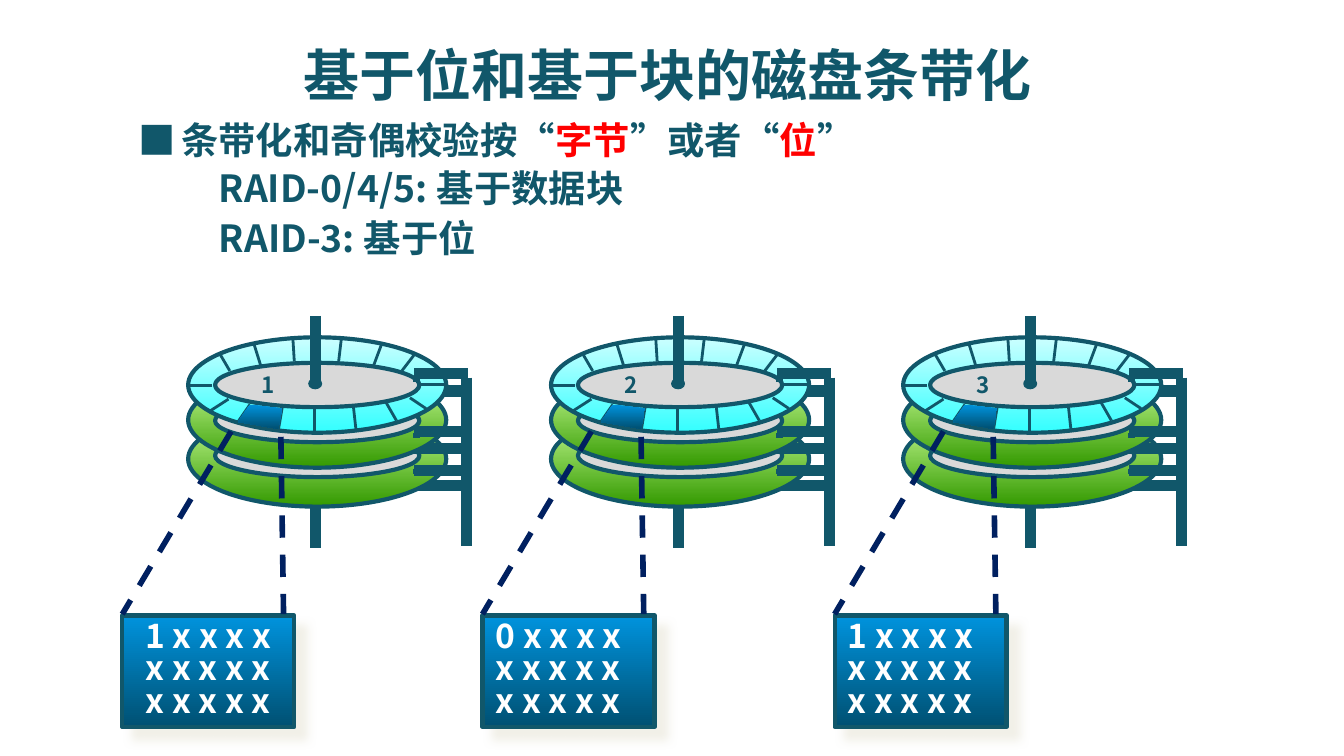
import pptx
import pptx.dml.color
import pptx.enum.dml
import pptx.enum.shapes
import pptx.enum.text
import pptx.oxml
import pptx.oxml.ns
import pptx.util
from lxml import etree

RGB = pptx.dml.color.RGBColor
SHAPE = pptx.enum.shapes.MSO_SHAPE
ALIGN = pptx.enum.text.PP_ALIGN
Pt = pptx.util.Pt
qn = pptx.oxml.ns.qn

PX = 9144  # 100 px to the inch
TEAL = RGB(0x11, 0x57, 0x6A)
RED = RGB(0xFF, 0x00, 0x00)
WHITE = RGB(0xFF, 0xFF, 0xFF)
GREY = RGB(0xD9, 0xD9, 0xD9)
NAVY = RGB(0x00, 0x20, 0x60)
GREENS = RGB(0xCC, 0xFF, 0x99), RGB(0x33, 0x99, 0x00)
CYANS = RGB(0xCC, 0xFF, 0xFF), RGB(0x33, 0xFF, 0xFF)
BLUES = RGB(0x00, 0x93, 0xDD), RGB(0x00, 0x50, 0x72)
SANS = "Noto Sans CJK SC"

# Top of arm, platter and hub, hub height, platter colours; lowest platter first
PLATTERS = [(361, 306, 323, 32, GREENS), (334, 277, 297, 32, GREENS),
            (291, 251, 270, 33, CYANS)]
# Sector borders; x counts from the left edge of the drive
SECTORS = [
    (193, 286, 172, 286), (94, 304, 94, 321), (144, 256, 138, 272),
    (147, 299, 155, 313), (123, 303, 125, 321), (112, 269, 114, 252),
    (159, 276, 169, 263), (165, 296, 177, 304), (70, 303, 67, 321),
    (18, 287, 0, 287), (46, 301, 37, 314), (49, 256, 54, 272),
    (31, 276, 24, 264), (79, 269, 78, 253), (30, 297, 16, 306),
]
# Left edge of drive, left edge of its block, first row of the block
DRIVES = [(140, 91, "1 x x x x"), (410, 359, "0 x x x x"), (672, 621, "1 x x x x")]


def add_line(shapes, x1, y1, x2, y2, width, color=TEAL):
    line = shapes.add_connector(pptx.enum.shapes.MSO_CONNECTOR.STRAIGHT,
                                x1 * PX, y1 * PX, x2 * PX, y2 * PX)
    line.line.width = Pt(width)
    line.line.color.rgb = color
    etree.SubElement(line._element.spPr, qn("a:effectLst"))
    return line


def write(frame, lines, size, color, align=ALIGN.LEFT, name=SANS):
    """Fill a text frame, one paragraph a line, in Latin and East Asian type."""
    frame.text = "\n".join(lines)
    for para in frame.paragraphs:
        para.alignment = align
        para.font.size = Pt(size)
        para.font.bold = True
        para.font.color.rgb = color
        para.font.name = name
        for latin in para._p.iter(qn("a:latin")):
            east_asian = etree.Element(qn("a:ea"))
            east_asian.set("typeface", name)
            latin.addnext(east_asian)


deck = pptx.Presentation()
deck.slide_width = Pt(720)
deck.slide_height = Pt(405)
page = deck.slides.add_slide(deck.slide_layouts[6])
shaded = []

# Drives
for left, block_left, first_row in DRIVES:
    drive = page.shapes.add_group_shape().shapes
    middle = left + 95
    add_line(drive, middle, 345, middle, 408, 6)
    for arm, top, hub_top, hub_height, colors in PLATTERS:
        add_line(drive, left + 208, arm, left + 168, arm, 6)
        platter = drive.add_shape(SHAPE.OVAL, left * PX, top * PX, 192 * PX, 71 * PX)
        shaded.append((platter, colors))
        hub = drive.add_shape(SHAPE.OVAL, (left + 20) * PX, hub_top * PX,
                              152 * PX, hub_height * PX)
        hub.fill.solid()
        hub.fill.fore_color.rgb = GREY
        for oval in (platter, hub):
            oval.shadow.inherit = False
            oval.line.color.rgb = TEAL
            oval.line.width = Pt(2.25)
    for x1, y1, x2, y2 in SECTORS:
        add_line(drive, left + x1, y1, left + x2, y2, 1.5)
    cap = drive.add_shape(SHAPE.OVAL, (left + 90) * PX, 282 * PX, 9 * PX, 7 * PX)
    cap.shadow.inherit = False
    cap.fill.solid()
    cap.fill.fore_color.rgb = TEAL
    cap.line.color.rgb = TEAL
    cap.line.width = Pt(1)
    add_line(drive, middle, 235, middle, 284, 6)
    for arm, head in ((278, 280), (350, 349), (321, 322)):
        add_line(drive, left + 208, arm, left + 168, arm, 6)
        add_line(drive, left + 170, head, left + 170, head + 4, 4)
    add_line(drive, left + 207, 281, left + 207, 406, 6)

# Title, bullet text and drive numbers
labels = [
    (47, 25, 900, 56, "基于位和基于块的磁盘条带化", 30, ALIGN.CENTER, SANS),
    (93, 82, 47, 44, "■", 20, ALIGN.LEFT, "Noto Sans CJK JP"),
    (153, 118, 363, 39, "RAID-0/4/5: 基于数据块", 20, ALIGN.LEFT, SANS),
    (153, 155, 262, 39, "RAID-3: 基于位", 20, ALIGN.LEFT, SANS),
    (125, 82, 672, 47, "条带化和奇偶校验按“", 20, ALIGN.LEFT, SANS),
]
for number, (left, block_left, first_row) in enumerate(DRIVES, 1):
    labels.insert(0, (left + 45, 271, 30, 30, str(number), 12, ALIGN.LEFT, SANS))
for x, y, width, height, text, size, align, name in labels:
    box = page.shapes.add_textbox(x * PX, y * PX, width * PX, height * PX)
    box.text_frame.word_wrap = width > 50
    write(box.text_frame, [text], size, TEAL, align, name)

striping = box.text_frame.paragraphs[0]
for text, color in (("字节", RED), ("”或者“", TEAL), ("位", RED), ("”", TEAL)):
    span = striping.add_run()
    span.text = text
    span.font.color.rgb = color

# Blocks enlarged from one sector of each drive
for left, block_left, first_row in DRIVES:
    zoom = page.shapes.add_group_shape().shapes
    outline = zoom.build_freeform(left + 46, 301, scale=PX)
    outline.add_line_segments([(left + 37, 314), (left + 67, 319), (left + 70, 304)])
    sector = outline.convert_to_shape()
    sector.shadow.inherit = False
    sector.line.fill.background()

    block = zoom.add_shape(SHAPE.RECTANGLE, block_left * PX, 458 * PX, 128 * PX, 83 * PX)
    block.line.color.rgb = TEAL
    block.line.width = Pt(2.25)
    block.shadow.inherit = False
    block._element.spPr.find(qn("a:effectLst")).append(pptx.oxml.parse_xml(
        f'<a:outerShdw {pptx.oxml.ns.nsdecls("a")} blurRad="63500" dist="107950"'
        ' dir="2700000" algn="ctr" rotWithShape="0">'
        '<a:srgbClr val="EEECE1"><a:alpha val="72000"/></a:srgbClr></a:outerShdw>'))
    align = ALIGN.CENTER if left == DRIVES[0][0] else ALIGN.LEFT
    write(block.text_frame, [first_row] + ["x x x x x"] * 2, 18, WHITE, align)
    for para in block.text_frame.paragraphs:
        para.line_spacing = 0.8
    shaded += [(sector, BLUES), (block, BLUES)]

    for start_x, start_y, end_x in ((81, 321, 0), (118, 325, 120)):
        ray = add_line(zoom, block_left + start_x, start_y, block_left + end_x, 457,
                       3, NAVY)
        ray.line.dash_style = pptx.enum.dml.MSO_LINE.DASH

for shape, colors in shaded:
    shape.fill.gradient()
    shape.fill.gradient_angle = 270
    for stop, color in zip(shape.fill.gradient_stops, colors):
        stop.color.rgb = color

deck.save("out.pptx")
